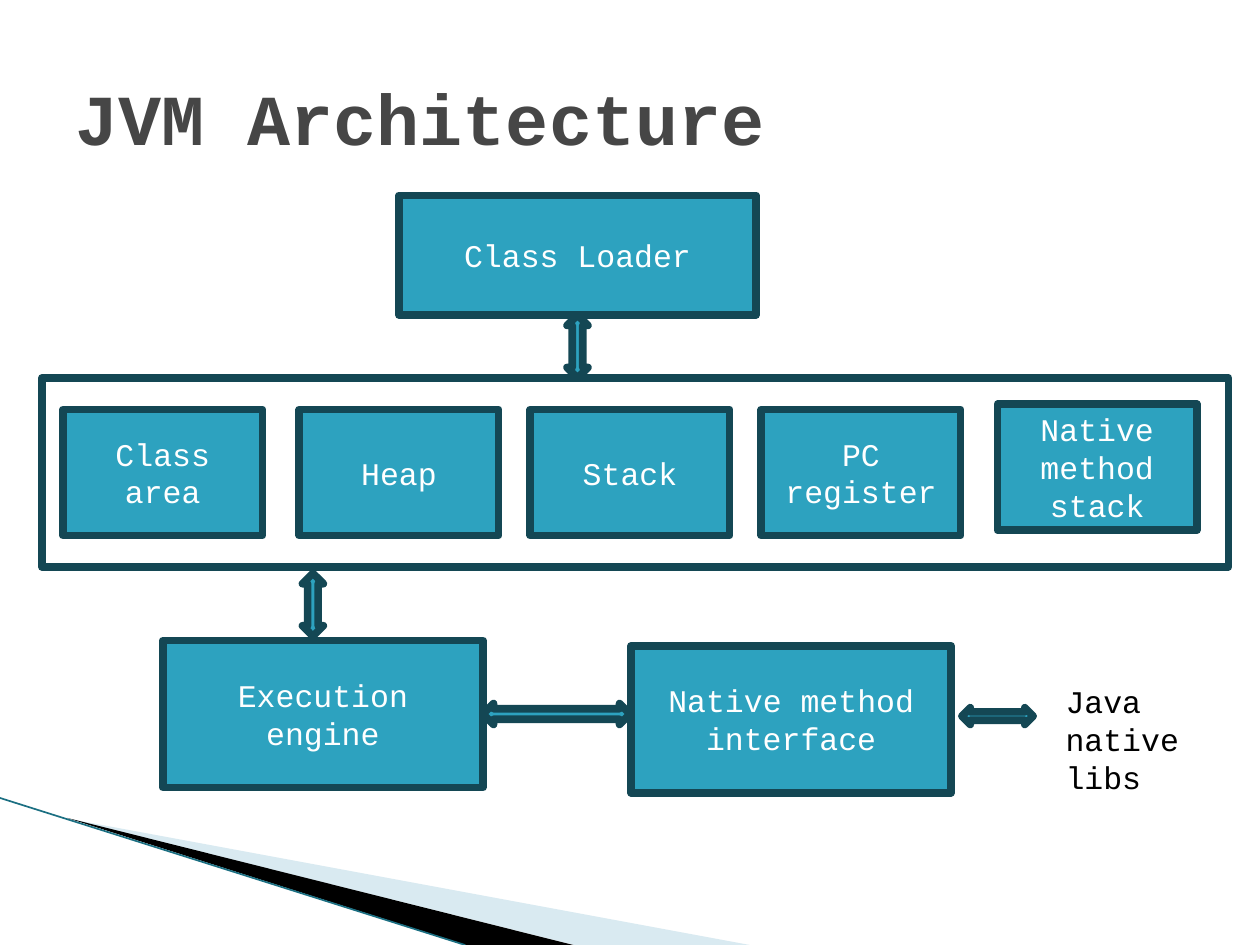
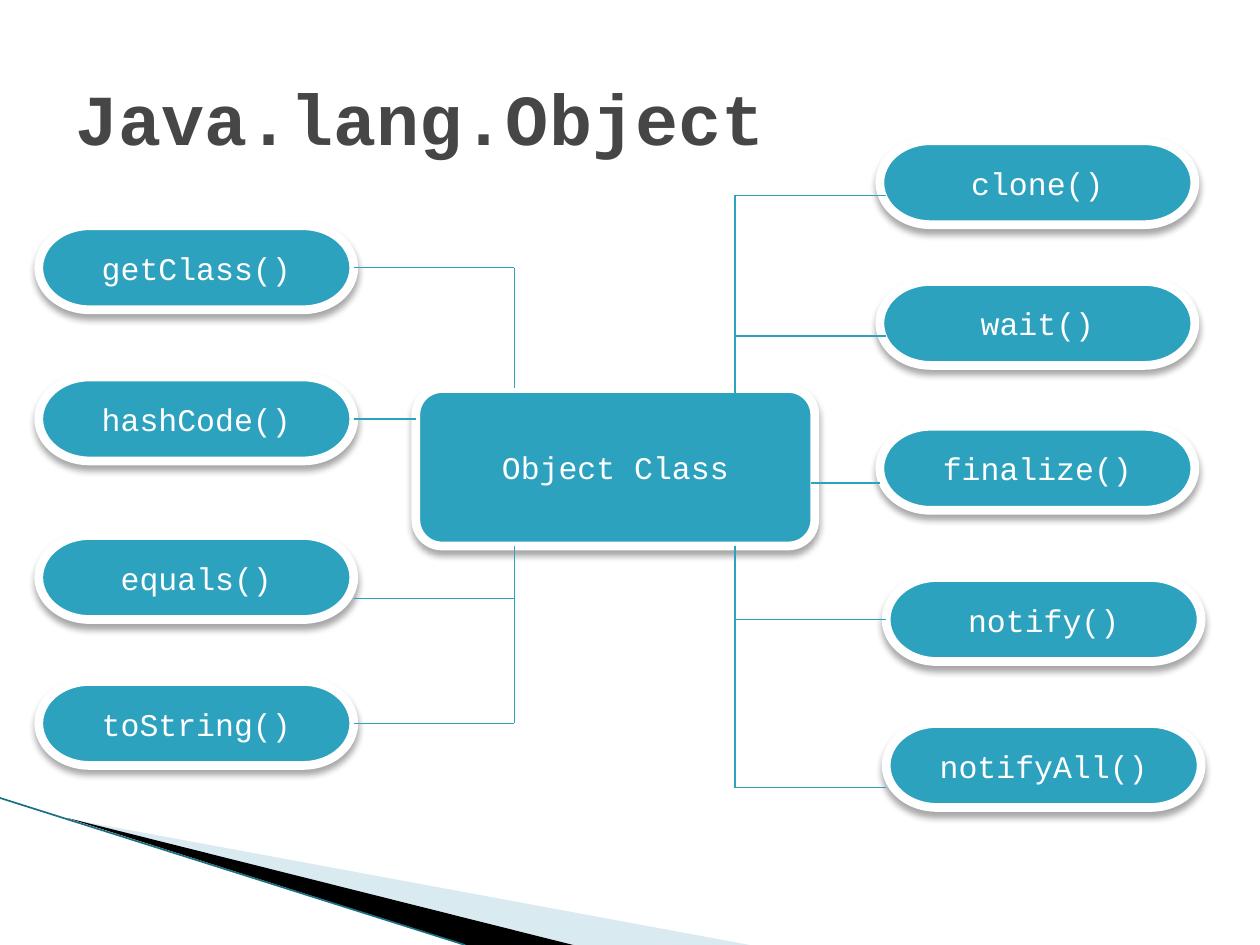
import lxml.etree
import pptx
import pptx.dml.color
import pptx.enum.shapes
import pptx.enum.text
import pptx.oxml
import pptx.oxml.ns
import pptx.util

RGBColor = pptx.dml.color.RGBColor
SHAPES = pptx.enum.shapes.MSO_SHAPE
ALIGN = pptx.enum.text.PP_ALIGN
ANCHOR = pptx.enum.text.MSO_ANCHOR

TEAL = RGBColor(0x2D, 0xA2, 0xBF)
DEEP_TEAL = RGBColor(0x14, 0x47, 0x54)
EDGE_TEAL = RGBColor(0x1B, 0x6F, 0x82)
PALE_BLUE = RGBColor(0xA0, 0xCB, 0xDC)
TITLE_GREY = RGBColor(0x46, 0x46, 0x46)
BLACK = RGBColor(0, 0, 0)
WHITE = RGBColor(255, 255, 255)

FONT = "Courier New"
COLUMNS, ROWS = 120, 90
SLIDE_WIDTH, SLIDE_HEIGHT = pptx.util.Inches(10), pptx.util.Inches(7.5)
CELL = SLIDE_WIDTH // COLUMNS

MEMORY_AREAS = [  # text, left and top inside the frame
    ("Class area", 2, 3),
    ("Heap", 24.5, 3),
    ("Stack", 46.5, 3),
    ("PC register", 68.5, 3),
    ("Native method stack", 91, 2.5),
]
LEFT_METHODS = [  # text, top of the pill, row of its branch
    ("getClass()", 8.1, 12.1),
    ("hashCode()", 22.5, 26.5),
    ("equals()", 37.6, 43.6),
    ("toString()", 51.5, 55.5),
]
RIGHT_METHODS = [  # text, left and top of the pill, row of its branch
    ("clone()", 80.1, 0, 5.2),
    ("wait()", 80.1, 13.4, 18.6),
    ("finalize()", 80.1, 27.2, 32.6),
    ("notify()", 80.7, 41.6, 45.6),
    ("notifyAll()", 80.7, 55.5, 61.6),
]


def cells(*counts):
    return [pptx.util.Emu(round(count * CELL)) for count in counts]


def inside(box, left, top, width, height):
    return box[0] + left, box[1] + top, width, height


def write(shape, text, color, size=18, bold=False, align=ALIGN.LEFT):
    para = shape.text_frame.paragraphs[0]
    para.alignment = align
    span = para.add_run()
    span.text = text
    span.font.name = FONT
    span.font.size = pptx.util.Pt(size)
    span.font.bold = bold
    span.font.color.rgb = color


def add_block(page, kind, box, text="", fill=TEAL, line=DEEP_TEAL, weight=4.33):
    block = page.shapes.add_shape(kind, *cells(*box))
    block.shadow.inherit = False
    if fill is None:
        block.fill.background()
    else:
        block.fill.solid()
        block.fill.fore_color.rgb = fill
    block.line.color.rgb = line
    block.line.width = pptx.util.Pt(weight)
    if text:
        block.text_frame.word_wrap = True
        block.text_frame.vertical_anchor = ANCHOR.MIDDLE
        write(block, text, WHITE, align=ALIGN.CENTER)
    return block


def add_raised_block(page, kind, box, text):
    """Add a white-edged block with a soft shadow below it."""
    block = add_block(page, kind, box, text, line=WHITE, weight=5)
    effects = block.element.spPr.find(pptx.oxml.ns.qn("a:effectLst"))
    effects.append(pptx.oxml.parse_xml(
        f'<a:outerShdw {pptx.oxml.ns.nsdecls("a")} blurRad="50800" dist="38100" '
        'dir="5400000" rotWithShape="0"><a:srgbClr val="000000">'
        '<a:alpha val="35000"/></a:srgbClr></a:outerShdw>'))
    return block


def add_arrow(page, box, turned=False):
    arrow = add_block(page, SHAPES.UP_DOWN_ARROW, box)
    arrow.rotation = 90 if turned else 0


def add_line(page, start, end, color=TEAL, weight=0.75):
    line = page.shapes.add_connector(
        pptx.enum.shapes.MSO_CONNECTOR.STRAIGHT, *cells(*start, *end))
    line.line.color.rgb = color
    line.line.width = pptx.util.Pt(weight)
    lxml.etree.SubElement(line.element.spPr, pptx.oxml.ns.qn("a:effectLst"))
    return line


def add_blade(page, points, color, opacity=100):
    start, *others = [cells(*point) for point in points]
    builder = page.shapes.build_freeform(*start)
    builder.add_line_segments(others, close=True)
    blade = builder.convert_to_shape()
    blade.shadow.inherit = False
    blade.line.fill.background()
    blade.fill.solid()
    blade.fill.fore_color.rgb = color
    if opacity < 100:
        tint = blade.element.spPr.find(".//" + pptx.oxml.ns.qn("a:srgbClr"))
        alpha = lxml.etree.SubElement(tint, pptx.oxml.ns.qn("a:alpha"))
        alpha.set("val", str(opacity * 1000))
    return blade


def decorate_layout(layout, page):
    """Draw the corner blades on a page, then move them to its layout."""
    parts = [
        add_blade(page, [(6.6, 78), (71.4, ROWS), (54.7, ROWS)], PALE_BLUE, 40),
        add_blade(page, [(6.4, 77.9), (54.6, ROWS), (44.4, ROWS)], BLACK),
        add_line(page, (0, 76), (44.3, ROWS), EDGE_TEAL, 0.95),
    ]
    for part in parts:
        layout.shapes.element.append(part.element)


def place_layout_title(layout):
    title = layout.placeholders[0]
    title.left, title.top, title.width, title.height = cells(6, 3.6, 108, 15)


def add_page(deck, layout, title):
    page = deck.slides.add_slide(layout)
    page.shapes.title.text_frame.vertical_anchor = ANCHOR.MIDDLE
    write(page.shapes.title, title, TITLE_GREY, size=41, bold=True)
    return page


def add_memory(page, box):
    for text, left, top in MEMORY_AREAS:
        add_block(page, SHAPES.RECTANGLE, inside(box, left, top, 19, 12), text)
    add_block(page, SHAPES.RECTANGLE, box, fill=None)


def add_execution_row(page, box):
    add_block(page, SHAPES.RECTANGLE, inside(box, 0, 0, 30.5, 14), "Execution engine")
    add_block(page, SHAPES.RECTANGLE, inside(box, 44.6, 0.5, 30.5, 14),
              "Native method interface")
    add_arrow(page, inside(box, 36.5, 0, 2, 14), turned=True)
    add_arrow(page, inside(box, 78.7, 3.8, 1.6, 6.8), turned=True)
    label = page.shapes.add_textbox(*cells(*inside(box, 84.8, 3.4, 15, 12)))
    label.text_frame.word_wrap = True
    write(label, "Java native libs", BLACK)


def draw_architecture(page):
    add_block(page, SHAPES.RECTANGLE, (38, 18.6, 34, 11.4), "Class Loader")
    add_memory(page, (4, 36, 113, 18))
    add_execution_row(page, (15.5, 61, 99.8, 15.4))
    add_arrow(page, (54, 30, 2, 6))
    add_arrow(page, (28.8, 54.6, 2, 6))


def add_left_methods(page, box, core):
    trunk, pill_width, pill_height = core[0] + 9.4, 30, 8
    core_bottom = core[1] + core[3]
    for text, top, branch in LEFT_METHODS:
        pill_box = inside(box, 0, top, pill_width, pill_height)
        pill = add_raised_block(page, SHAPES.FLOWCHART_TERMINATOR, pill_box, text)
        row = box[1] + branch
        beside_core = core[1] < row < core_bottom
        line = add_line(page, (box[0] + pill_width, row),
                        (core[0] if beside_core else trunk, row))
        if abs(branch - top - pill_height / 2) < 0.01:
            line.begin_connect(pill, 3)
    add_line(page, (trunk, box[1] + LEFT_METHODS[0][2]), (trunk, core[1]))
    add_line(page, (trunk, core_bottom), (trunk, box[1] + LEFT_METHODS[-1][2]))


def add_right_methods(page, box, core):
    trunk, branch_end = core[0] + 30.4, box[0] + 80.7
    core_right, core_bottom = core[0] + core[2], core[1] + core[3]
    for text, left, top, branch in RIGHT_METHODS:
        add_raised_block(page, SHAPES.FLOWCHART_TERMINATOR,
                         inside(box, left, top, 30, 8), text)
        row = box[1] + branch
        if core[1] < row < core_bottom:
            add_line(page, (core_right - 0.4, row), (box[0] + left, row))
        else:
            add_line(page, (trunk, row), (branch_end, row))
    add_line(page, (trunk, core[1] + 1), (trunk, box[1] + RIGHT_METHODS[0][3]))
    add_line(page, (trunk, core_bottom), (trunk, box[1] + RIGHT_METHODS[-1][3]))


def draw_object_methods(page):
    box = (3.7, 13.4, 110.7, 63.5)
    core = inside(box, 35.9, 23.6, 38, 15)
    add_raised_block(page, SHAPES.ROUNDED_RECTANGLE, core, "Object Class")
    add_left_methods(page, box, core)
    add_right_methods(page, box, core)


def main():
    deck = pptx.Presentation()
    deck.slide_width, deck.slide_height = SLIDE_WIDTH, SLIDE_HEIGHT
    layout = deck.slide_layouts.get_by_name("Title Only")
    place_layout_title(layout)
    architecture = add_page(deck, layout, "JVM Architecture")
    decorate_layout(layout, architecture)
    draw_architecture(architecture)
    draw_object_methods(add_page(deck, layout, "Java.lang.Object"))
    deck.save("out.pptx")


if __name__ == "__main__":
    main()
